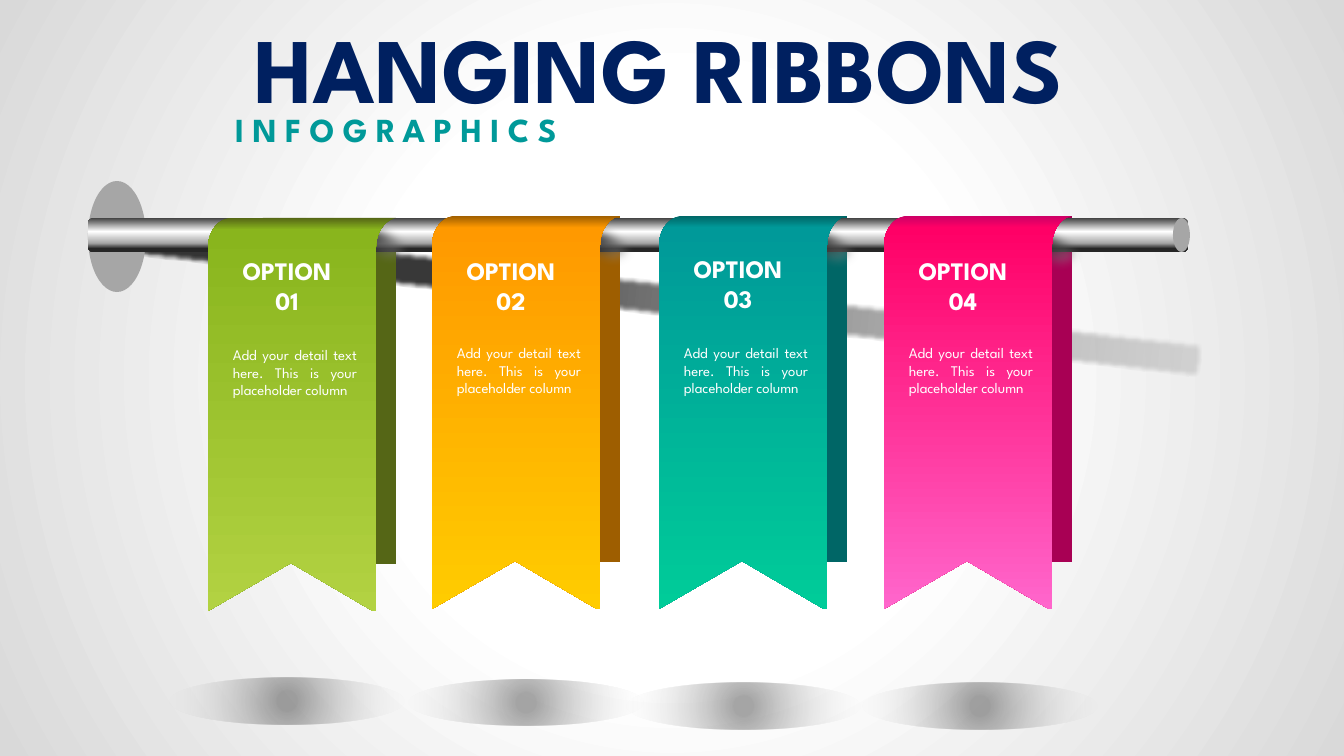
import pptx
import pptx.dml.color
import pptx.enum.shapes
import pptx.enum.text
import pptx.oxml
import pptx.oxml.ns
import pptx.util

PX = 914400 / 100.8
FONT = "League Spartan"
SHAPE = pptx.enum.shapes.MSO_SHAPE
ALIGN = pptx.enum.text.PP_ALIGN
COLORS = {
    "navy": "002060", "teal": "009999", "white": "FFFFFF", "black": "000000",
    "grey": "A6A6A6", "mist": "E4E4E4", "edge": "D9D9D9",
    "steel": "404040", "iron": "262626",
}
OPTIONS = [
    {"number": "01", "left": 208, "top": 218, "label_top": 250, "ground": (170, 678),
     "back": "556616", "fold": "556616", "upper": "89B51D", "lower": "B2D242"},
    {"number": "02", "left": 432, "top": 216, "label_top": 250, "ground": (409, 680),
     "back": "9E5E00", "fold": "9E5E00", "upper": "FF9900", "lower": "FFCC00"},
    {"number": "03", "left": 659, "top": 216, "label_top": 248, "ground": (627, 683),
     "back": "006666", "fold": "006666", "upper": "009999", "lower": "00CC99"},
    {"number": "04", "left": 884, "top": 216, "label_top": 250, "ground": (863, 683),
     "back": "A80054", "fold": "CC0066", "upper": "FF0066", "lower": "FF66CC"},
]
CURL = [(187, 0), (176, 3), (168, 15), (168, 30)]
SHOULDER = [(0, 30), (0, 13), (11, 0), (24, 0)]
outline = []
for curve, tail in ((CURL, [(168, 393), (165, 393), (83, 345), (0, 393)]), (SHOULDER, [])):
    for step in range(13):
        t = step / 12
        weights = ((1 - t) ** 3, 3 * t * (1 - t) ** 2, 3 * t * t * (1 - t), t ** 3)
        outline.append(tuple(sum(w * p[axis] for w, p in zip(weights, curve)) for axis in (0, 1)))
    outline += tail


def paint(owner, host, stops, angle=None, blur=0):
    """Fill a shape or background with one colour or a gradient."""
    owner.fill.solid()
    owner.fill.fore_color.rgb = pptx.dml.color.RGBColor.from_string(stops[0][1])
    if hasattr(owner, "line"):
        owner.line.fill.background()
        owner.shadow.inherit = False
    if len(stops) > 1:
        marks = "".join(
            f'<a:gs pos="{at * 1000}"><a:srgbClr val="{color}"><a:alpha val="{alpha * 1000}"/>'
            "</a:srgbClr></a:gs>" for at, color, alpha in stops)
        course = (f'<a:lin ang="{angle * 60000}" scaled="0"/>' if angle is not None else
                  '<a:path path="circle"><a:fillToRect l="50000" t="50000" r="50000" b="50000"/></a:path>')
        solid = host.xpath("./a:solidFill")[0]
        host.replace(solid, pptx.oxml.parse_xml(
            f'<a:gradFill {pptx.oxml.ns.nsdecls("a")} rotWithShape="1"><a:gsLst>{marks}</a:gsLst>{course}</a:gradFill>'))
    if blur:
        host.xpath("./a:effectLst")[0].append(pptx.oxml.parse_xml(
            f'<a:softEdge {pptx.oxml.ns.nsdecls("a")} rad="{round(blur * PX)}"/>'))


def write(box, area, text, size, color, align, bold=True):
    """Place a text holder and format its words."""
    box.left, box.top, box.width, box.height = [round(v * PX) for v in area]
    frame = box.text_frame
    frame.text = text
    frame.word_wrap = True
    frame.auto_size = pptx.enum.text.MSO_AUTO_SIZE.NONE
    frame.vertical_anchor = pptx.enum.text.MSO_ANCHOR.TOP
    for paragraph in frame.paragraphs:
        paragraph.alignment = align
        paragraph.space_before = pptx.util.Pt(0)
        paragraph.line_spacing = 1.0
        for run in paragraph.runs:
            run.font.name = FONT
            run.font.size = pptx.util.Pt(size)
            run.font.bold = bold
            run.font.color.rgb = pptx.dml.color.RGBColor.from_string(color)


deck = pptx.Presentation()
deck.slide_width, deck.slide_height = round(1344 * PX), round(756 * PX)
slide = deck.slides.add_slide(deck.slide_layouts[0])
shapes = slide.shapes
background = slide.background
background.fill.solid()
paint(background, slide.element.xpath(".//p:bgPr")[0],
      [(39, COLORS["white"], 100), (100, COLORS["edge"], 100)])

title, subtitle = slide.placeholders
write(title, (202, 6, 914, 122), "HANGING RIBBONS", 66, COLORS["navy"], ALIGN.CENTER)
write(subtitle, (225, 104, 873, 50), "INFOGRAPHICS", 24, COLORS["teal"], ALIGN.LEFT)
subtitle.text_frame.paragraphs[0].runs[0].font._element.set("spc", "600")

GREY = [(0, COLORS["grey"], 100)]
ROD = [(0, COLORS["steel"], 100), (40, COLORS["white"], 100),
       (74, COLORS["grey"], 100), (90, COLORS["iron"], 100)]
ROD_SHADOW = [(0, COLORS["grey"], 39), (68, COLORS["black"], 78)]
CURL_SHADOW = [(30, COLORS["black"], 100), (90, COLORS["mist"], 0)]
GROUND_SHADOW = [(8, COLORS["black"], 34), (100, COLORS["mist"], 0)]

parts = [(SHAPE.ROUNDED_RECTANGLE, (86, 279, 1118, 35), 6.5, ROD_SHADOW, 180, 5)]
for option in reversed(OPTIONS):
    parts.append((SHAPE.RECTANGLE, (option["left"] + 55, option["top"], 133, 346), 0,
                  [(0, option["back"], 100)], None, 0))
parts += [
    (SHAPE.OVAL, (88, 181, 58, 111), 0, GREY, None, 0),
    (SHAPE.ROUNDED_RECTANGLE, (88, 218, 1100, 34), 0, ROD, 90, 0),
    (SHAPE.OVAL, (1173, 218, 17, 34), 0, GREY, None, 0),
]
for index, option in enumerate(OPTIONS):
    parts.append((SHAPE.OVAL, (348 + 224 * index, 222 + 2 * index, 70, 45), 15.7, CURL_SHADOW, 45, 10))
for option in OPTIONS:
    parts.append((SHAPE.OVAL, (*option["ground"], 234, 46), 0, GROUND_SHADOW, None, 0))

for kind, area, turn, stops, angle, blur in parts:
    part = shapes.add_shape(kind, *[round(v * PX) for v in area])
    part.rotation = turn
    paint(part, part.element.spPr, stops, angle, blur)

for option in OPTIONS:
    left, top = option["left"], option["top"]
    corners = [(round((left + x) * PX), round((top + y) * PX)) for x, y in outline]
    builder = shapes.build_freeform(*corners[0])
    builder.add_line_segments(corners[1:], close=True)
    ribbon = builder.convert_to_shape()
    paint(ribbon, ribbon.element.spPr,
          [(0, option["fold"], 100), (3, option["upper"], 100), (100, option["lower"], 100)], 90)
    write(shapes.add_textbox(0, 0, 0, 0), (left, option["label_top"], 158, 72),
          "OPTION\n" + option["number"], 18, COLORS["white"], ALIGN.CENTER)
    write(shapes.add_textbox(0, 0, 0, 0), (left + 15, top + 123, 144, 82),
          "Add your detail text here. This is your placeholder column",
          10.5, COLORS["white"], ALIGN.JUSTIFY, bold=False)

deck.save("out.pptx")
